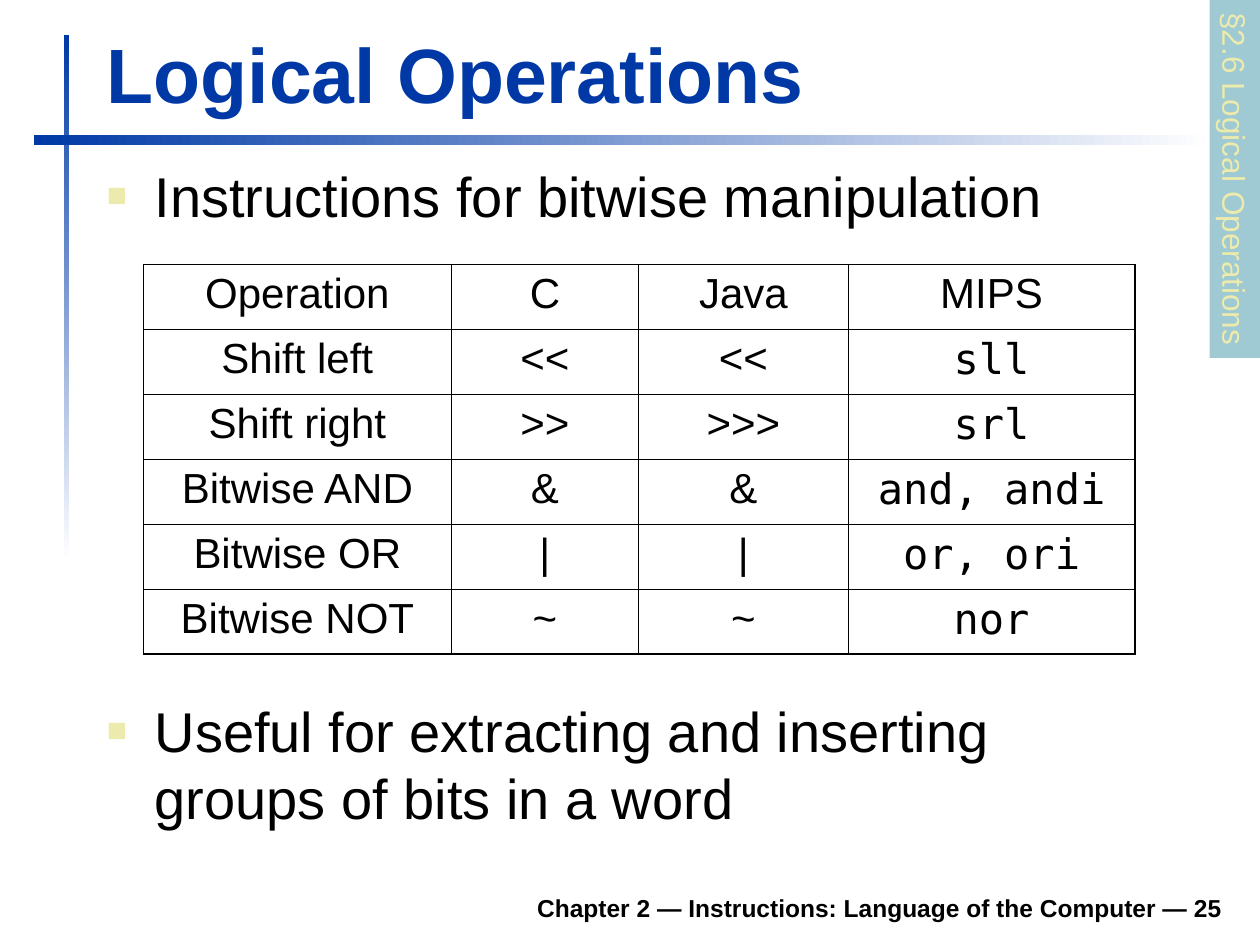
from dataclasses import dataclass

from lxml import etree
from pptx import Presentation
from pptx.dml.color import RGBColor
from pptx.enum.shapes import MSO_SHAPE
from pptx.enum.text import MSO_ANCHOR, PP_ALIGN
from pptx.oxml.ns import qn
from pptx.util import Inches, Pt

RECT = MSO_SHAPE.RECTANGLE
TOP, LOW = MSO_ANCHOR.TOP, MSO_ANCHOR.BOTTOM
LEFT, MID, RIGHT = PP_ALIGN.LEFT, PP_ALIGN.CENTER, PP_ALIGN.RIGHT


@dataclass(frozen=True)
class Theme:
    blue: str = "0039A6"
    white: str = "FFFFFF"
    black: str = "000000"
    teal: str = "9FCAD3"
    cream: str = "ECEAAC"
    sans: str = "Arial"
    mono: str = "DejaVu Sans Mono"
    title: int = 44
    body: int = 32
    cell: int = 24
    tag: int = 18
    foot: int = 14
    outer: float = 1.08
    head: float = 0.75
    inner: float = 0.45


T = Theme()

# Content
TITLE = "Logical Operations"
TAG = "§2.6 Logical Operations"
FOOT = "Chapter 2 — Instructions: Language of the Computer — 25"
ROWS = [
    ("Operation", "C", "Java", "MIPS"),
    ("Shift left", "<<", "<<", "sll"),
    ("Shift right", ">>", ">>>", "srl"),
    ("Bitwise AND", "&", "&", "and, andi"),
    ("Bitwise OR", "|", "|", "or, ori"),
    ("Bitwise NOT", "~", "~", "nor"),
]
COLS = (24.4, 14.9, 16.6, 22.8)  # percent of slide width

# Places: left, top, width, height in percent of the slide
POINTS = [
    ("Instructions for bitwise manipulation", (7.5, 16.4, 90.4, 10.13)),
    ("Useful for extracting and inserting groups of bits in a word",
     (7.5, 73.07, 85, 15.73)),
]
RULES = [((5.1, 3.73, 0.4, 55.6), 270), ((2.7, 14.27, 93.7, 1.07), 0)]
TITLE_AT = (7.5, 2.13, 90.3, 11.07)
FOOT_AT = (18.5, 93.07, 79.5, 5.2)
GRID_AT = (11.4, 28, sum(COLS), 41.2)
TAG_AT = (83.8, 16.27, 28.4, 5.33)

deck = Presentation()
deck.slide_width, deck.slide_height = Inches(10), Inches(7.5)
slide = deck.slides.add_slide(deck.slide_layouts[6])
shapes = slide.shapes


def place(spot):
    wide, high = deck.slide_width, deck.slide_height
    return [round(n * size / 100) for n, size in zip(spot, (wide, high) * 2)]


def rgb(code):
    return RGBColor.from_string(code)


def write(frame, text, size, color=T.black, face=T.sans, bold=False, align=LEFT):
    para = frame.paragraphs[0]
    para.text, para.alignment = text, align
    font = para.font
    font.name, font.size, font.bold = face, Pt(size), bold
    font.color.rgb = rgb(color)


def add_text(spot, text, size, anchor=TOP, **look):
    frame = shapes.add_textbox(*place(spot)).text_frame
    frame.word_wrap, frame.vertical_anchor = True, anchor
    write(frame, text, size, **look)
    return frame


def add_rect(spot):
    shape = shapes.add_shape(RECT, *place(spot))
    shape.shadow.inherit = False
    shape.line.fill.background()
    return shape


def add_bullet(para):
    props = para._p.get_or_add_pPr()
    props.set("marL", str(Inches(0.38)))
    props.set("indent", str(-Inches(0.38)))
    color = etree.SubElement(props, qn("a:buClr"))
    etree.SubElement(color, qn("a:srgbClr"), val=T.cream)
    etree.SubElement(props, qn("a:buSzPct"), val="60000")
    etree.SubElement(props, qn("a:buFont"), typeface=T.sans)
    etree.SubElement(props, qn("a:buChar"), char="■")


def add_edges(cell, widths):
    props = cell._tc.get_or_add_tcPr()
    for i, (side, width) in enumerate(zip("LRTB", widths)):
        line = etree.Element(qn("a:ln" + side), w=str(Pt(width)))
        fill = etree.SubElement(line, qn("a:solidFill"))
        etree.SubElement(fill, qn("a:srgbClr"), val=T.black)
        props.insert(i, line)


# Fading rules
for spot, angle in RULES:
    fill = add_rect(spot).fill
    fill.gradient()
    fill.gradient_angle = angle
    for stop, color, pos in zip(fill.gradient_stops, (T.blue, T.white), (0, 1)):
        stop.color.rgb, stop.position = rgb(color), pos

# Footer and title
add_text(FOOT_AT, FOOT, T.foot, LOW, bold=True, align=RIGHT)
add_text(TITLE_AT, TITLE, T.title, LOW, color=T.blue, bold=True)

# Bullet points
for text, spot in POINTS:
    frame = shapes.add_textbox(*place(spot)).text_frame
    frame.word_wrap = True
    add_bullet(frame.paragraphs[0])
    write(frame, text, T.body)

# Table of operations
grid = shapes.add_table(len(ROWS), len(COLS), *place(GRID_AT)).table
grid.first_row = grid.horz_banding = False
for col, share in zip(grid.columns, COLS):
    col.width = round(deck.slide_width * share / 100)
across = [T.outer] + [T.inner] * (len(COLS) - 1) + [T.outer]
down = [T.outer, T.head] + [T.inner] * (len(ROWS) - 2) + [T.outer]
for r, row in enumerate(ROWS):
    for c, text in enumerate(row):
        cell = grid.cell(r, c)
        cell.fill.background()
        code = r > 0 and c == len(COLS) - 1
        write(cell.text_frame, text, T.cell, face=T.mono if code else T.sans, align=MID)
        add_edges(cell, across[c:c + 2] + down[r:r + 2])

# Section tag on the right edge
tag = add_rect(TAG_AT)
tag.rotation = 90
tag.fill.solid()
tag.fill.fore_color.rgb = rgb(T.teal)
tag.text_frame.word_wrap = False
tag.text_frame.vertical_anchor = TOP
write(tag.text_frame, TAG, T.tag, color=T.cream)

deck.save("out.pptx")
